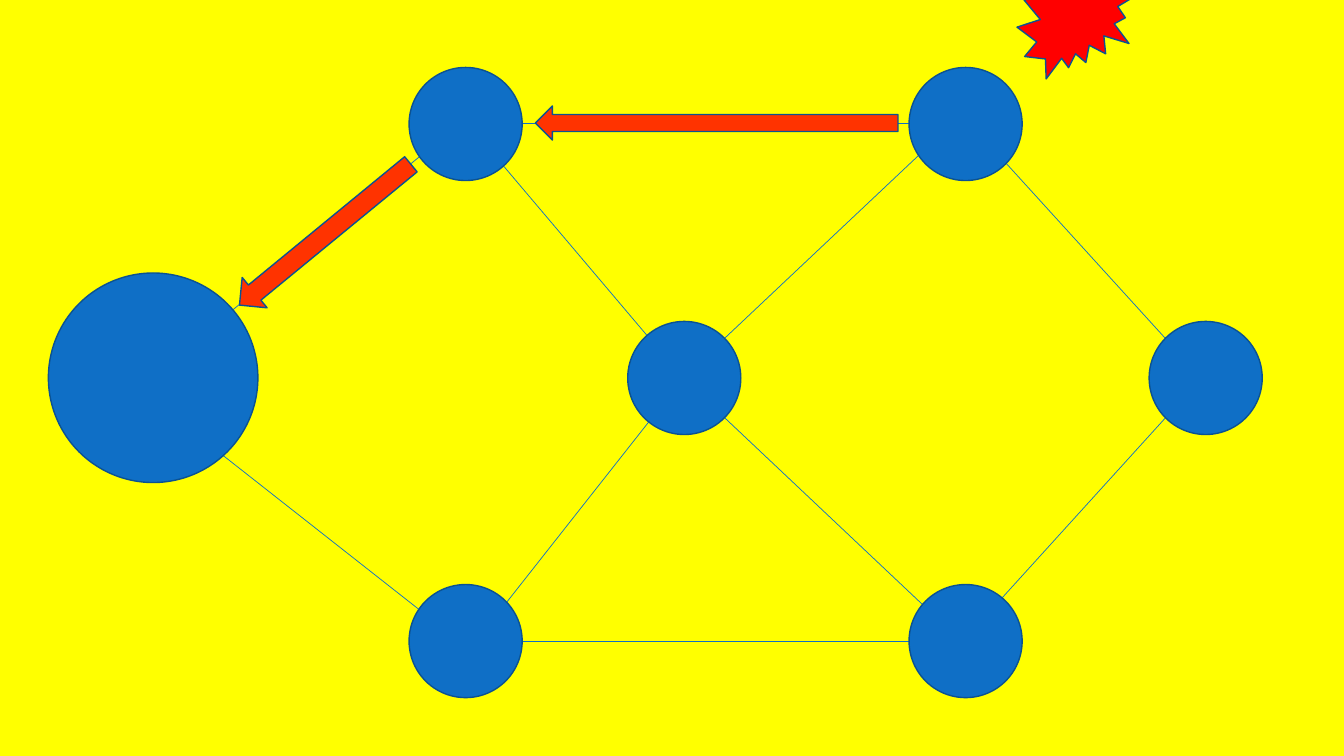
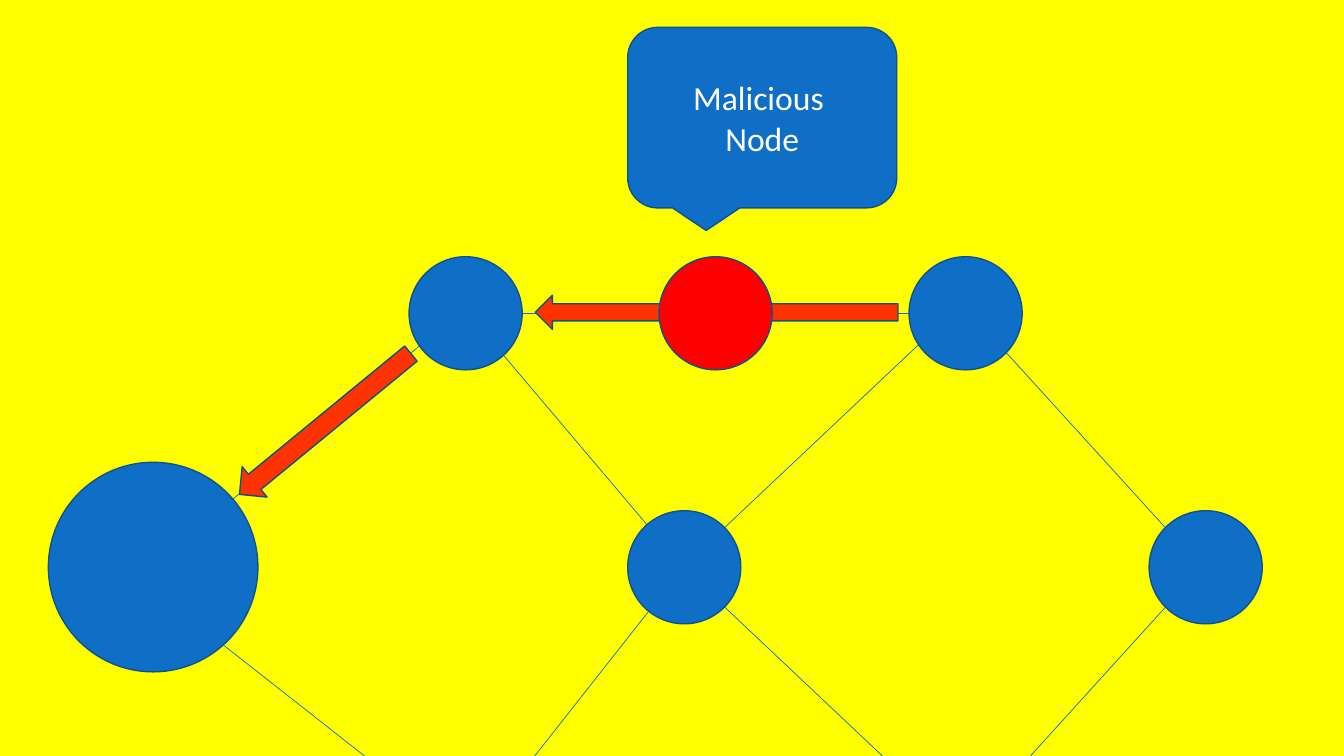
from lxml import etree
from pptx import Presentation
from pptx.dml.color import RGBColor
from pptx.enum.shapes import MSO_CONNECTOR, MSO_SHAPE
from pptx.enum.text import MSO_ANCHOR, PP_ALIGN
from pptx.oxml.ns import qn
from pptx.util import Cm, Pt

STRAIGHT = MSO_CONNECTOR.STRAIGHT
CIRCLE = MSO_SHAPE.OVAL
ARROW = MSO_SHAPE.DOWN_ARROW
BURST = MSO_SHAPE.EXPLOSION2
CALLOUT = MSO_SHAPE.ROUNDED_RECTANGULAR_CALLOUT
MIDDLE = MSO_ANCHOR.MIDDLE
CENTER = PP_ALIGN.CENTER

# Shared look, lengths in centimetres
PAGE_WIDTH, PAGE_HEIGHT = 33.87, 19.05
YELLOW, BLUE, NAVY = "FFFF00", "0F6FC6", "0B5292"
ORANGE, RED, WHITE = "FF3300", "FF0000", "FFFFFF"
FONT = "Calibri"
NODE_SIZE = 2.85
HUB_SIZE = 5.28

# Network plan, measured from the top of the network
LEFT_NODE, RIGHT_NODE = 10.31, 22.91
TOP_ROW, MIDDLE_ROW, BOTTOM_ROW = 1.7, 8.1, 14.73
NODES = [
    (1.22, 6.88, HUB_SIZE),
    (LEFT_NODE, TOP_ROW, NODE_SIZE),
    (RIGHT_NODE, TOP_ROW, NODE_SIZE),
    (15.82, MIDDLE_ROW, NODE_SIZE),
    (28.96, MIDDLE_ROW, NODE_SIZE),
    (LEFT_NODE, BOTTOM_ROW, NODE_SIZE),
    (RIGHT_NODE, BOTTOM_ROW, NODE_SIZE),
]
EDGES = [
    (4.95, 8.56, 11.02, 3.58),
    (4.95, 10.95, 11.02, 15.72),
    (11.73, 3.12, 23.52, 3.12),
    (11.79, 3.12, 16.76, 8.99),
    (12.34, 15.72, 17.02, 9.78),
    (17.98, 8.79, 23.75, 3.35),
    (18.01, 10.29, 23.52, 15.49),
    (24.66, 3.35, 29.79, 8.99),
    (24.66, 15.72, 30.05, 9.78),
    (11.94, 16.15, 23.75, 16.15),
]
# Left, top, width, height, rotation
ARROWS = [
    (7.7, 3.12, 0.99, 5.59, 50.6),
    (17.63, -1.47, 0.86, 9.14, 90),
]


def color(value):
    return RGBColor.from_string(value)


def add_figure(page, kind, left, top, width, height, fill=BLUE, rotation=0):
    figure = page.shapes.add_shape(kind, Cm(left), Cm(top), Cm(width), Cm(height))
    figure.shadow.inherit = False
    figure.fill.solid()
    figure.fill.fore_color.rgb = color(fill)
    figure.line.color.rgb = color(NAVY)
    figure.line.width = Pt(1)
    figure.rotation = rotation
    return figure


def add_edge(page, x1, y1, x2, y2):
    edge = page.shapes.add_connector(STRAIGHT, Cm(x1), Cm(y1), Cm(x2), Cm(y2))
    edge.line.color.rgb = color(BLUE)
    edge.line.width = Pt(0.5)
    etree.SubElement(edge._element.spPr, qn("a:effectLst"))


def write_text(frame, lines, size=24, font=FONT, ink=WHITE, align=CENTER):
    frame.word_wrap = True
    frame.vertical_anchor = MIDDLE
    for index, line in enumerate(lines):
        para = frame.add_paragraph() if index else frame.paragraphs[0]
        para.alignment = align
        span = para.add_run()
        span.text = line
        span.font.size = Pt(size)
        span.font.name = font
        span.font.color.rgb = color(ink)


def add_network(page, top):
    """Draw the part of the network that reaches the page."""
    for x1, y1, x2, y2 in EDGES:
        if top + min(y1, y2) < PAGE_HEIGHT:
            add_edge(page, x1, top + y1, x2, top + y2)
    for left, node_top, size in NODES:
        if top + node_top < PAGE_HEIGHT:
            add_figure(page, CIRCLE, left, top + node_top, size, size)
    for left, arrow_top, width, height, rotation in ARROWS:
        add_figure(page, ARROW, left, top + arrow_top, width, height,
                   fill=ORANGE, rotation=rotation)


def add_burst_slide(deck, layout):
    page = deck.slides.add_slide(layout)
    add_network(page, 0)
    add_figure(page, BURST, 25.63, -1.24, 3.23, 3.23, fill=RED)


def add_attack_slide(deck, layout):
    page = deck.slides.add_slide(layout)
    network_top = 4.77
    add_network(page, network_top)
    # Malicious node halfway between the two top nodes
    add_figure(page, CIRCLE, (LEFT_NODE + RIGHT_NODE) / 2, network_top + TOP_ROW,
               NODE_SIZE, NODE_SIZE, fill=RED)
    callout = add_figure(page, CALLOUT, 15.82, 0.69, 6.78, 4.55)
    write_text(callout.text_frame, ["Malicious ", "Node"])


def main():
    deck = Presentation()
    deck.slide_width, deck.slide_height = Cm(PAGE_WIDTH), Cm(PAGE_HEIGHT)
    # One background for every slide
    backdrop = deck.slide_master.background.fill
    backdrop.solid()
    backdrop.fore_color.rgb = color(YELLOW)
    blank = deck.slide_layouts.get_by_name("Blank")
    add_burst_slide(deck, blank)
    add_attack_slide(deck, blank)
    deck.save("out.pptx")


if __name__ == "__main__":
    main()
